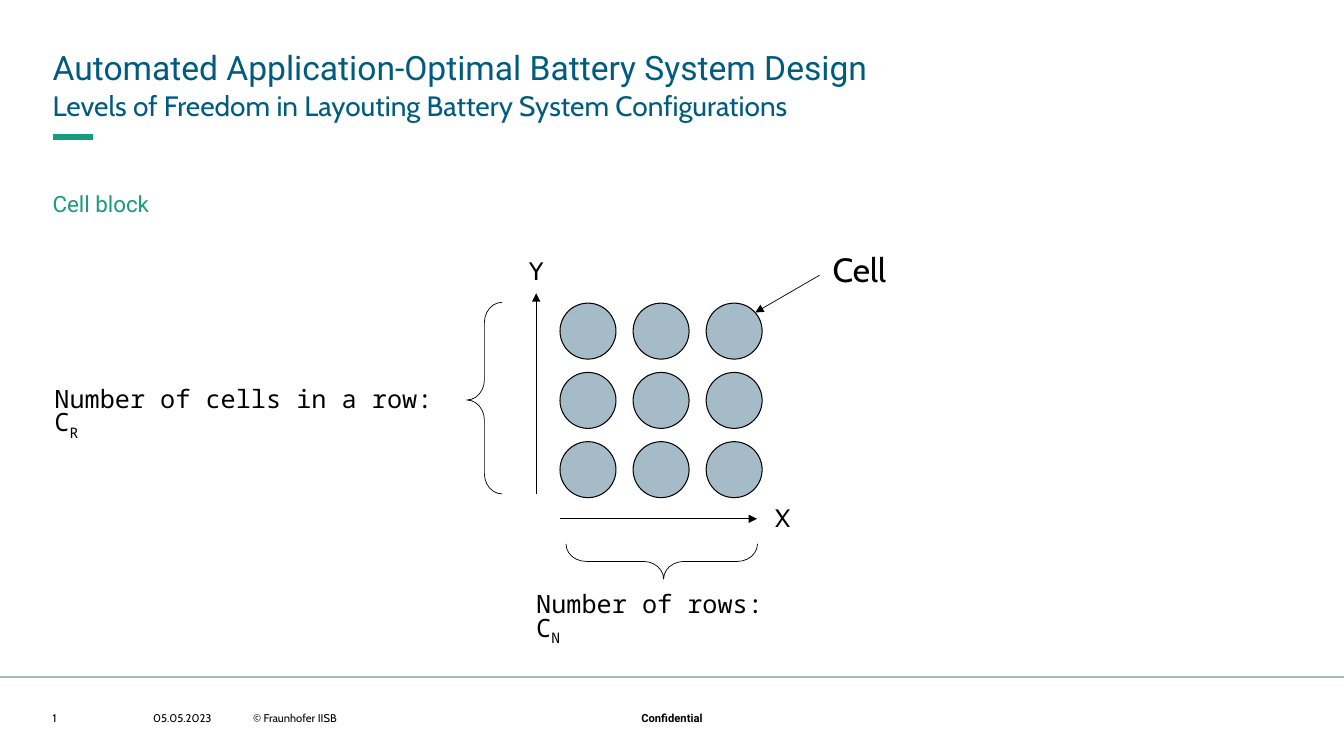
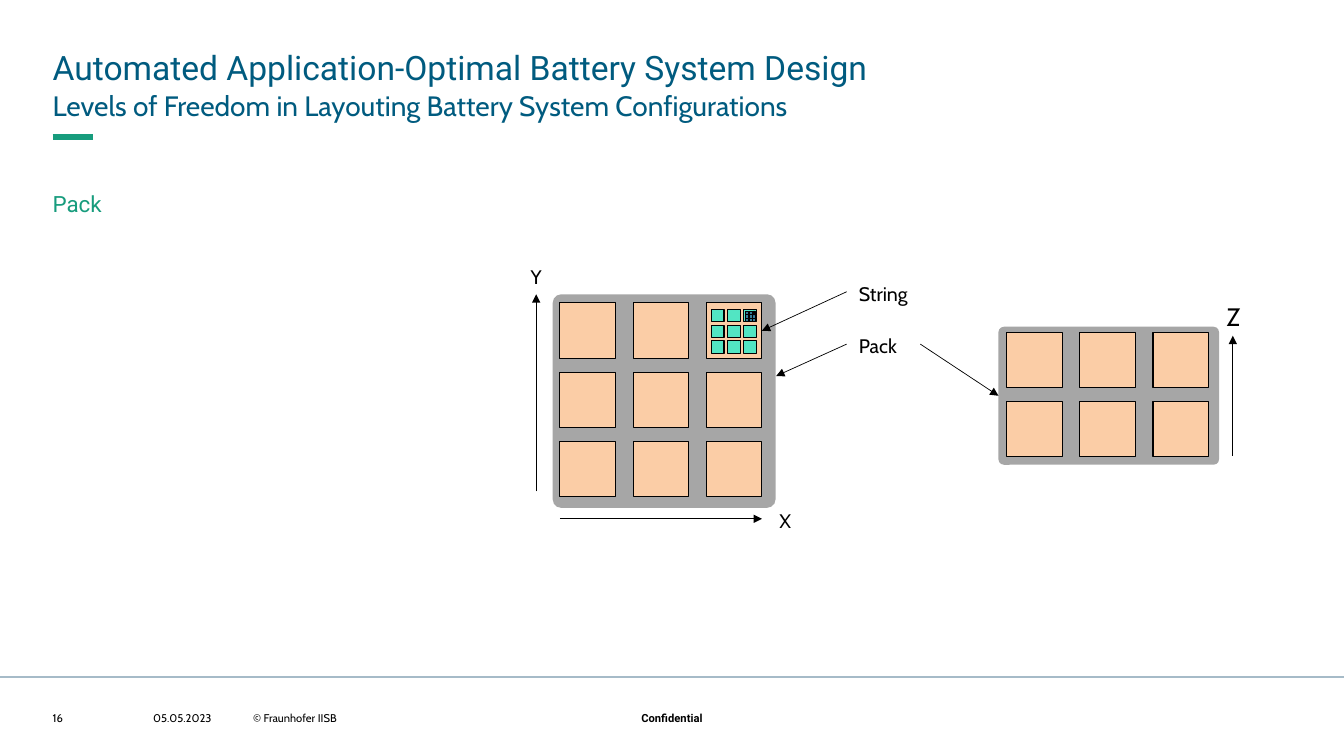
import pptx
import pptx.util
import pptx.dml.color
import pptx.enum.shapes
import pptx.enum.text
import pptx.oxml.ns
import lxml.etree

Pt = pptx.util.Pt
RGBColor = pptx.dml.color.RGBColor
SHAPE = pptx.enum.shapes.MSO_SHAPE
ALIGN = pptx.enum.text.PP_ALIGN
ANCHOR = pptx.enum.text.MSO_ANCHOR
qn = pptx.oxml.ns.qn

BLACK = RGBColor(0x00, 0x00, 0x00)
BLUE = RGBColor(0x00, 0x5B, 0x7F)
GREEN = RGBColor(0x17, 0x9C, 0x7D)
STEEL = RGBColor(0xA6, 0xBB, 0xC8)
GRAY = RGBColor(0xA6, 0xA6, 0xA6)
PEACH = RGBColor(0xFB, 0xCD, 0xA6)
MINT = RGBColor(0x52, 0xE5, 0xC3)
TEAL = RGBColor(0x33, 0x7C, 0x99)

LEFT, CONTENT_WIDTH = 37.6, 884
FOOTER_TOP, FOOTER_HEIGHT = 508.3, 9.4
LABEL_INSET = 8.64

STYLES = {
    "title": {"font": {"name": "Roboto", "size": Pt(24)}, "color": BLUE,
              "para": {"line_spacing": 1.1}},
    "subtitle": {"font": {"name": "Cabin", "size": Pt(20)}, "color": BLUE,
                 "para": {"line_spacing": 1.1}},
    "topic": {"font": {"name": "Roboto", "size": Pt(16)}, "color": GREEN,
              "para": {"line_spacing": 1.1}},
    "footer": {"font": {"name": "Cabin", "size": Pt(8)},
               "frame": {"vertical_anchor": ANCHOR.MIDDLE}},
    "mark": {"font": {"name": "Roboto", "size": Pt(8), "bold": True},
             "para": {"alignment": ALIGN.CENTER}},
    "caption": {"font": {"name": "Noto Sans Mono", "size": Pt(18)},
                "para": {"line_spacing": Pt(19.6)}},
    "axis": {"font": {"name": "Cabin", "size": Pt(18)},
             "para": {"line_spacing": Pt(19.6)}},
    "cell": {"font": {"name": "Cabin", "size": Pt(24)},
             "para": {"line_spacing": Pt(19.6)}},
    "label": {"font": {"name": "Cabin", "size": Pt(14)}, "inset": LABEL_INSET,
              "para": {"line_spacing": Pt(19.6)},
              "frame": {"vertical_anchor": ANCHOR.MIDDLE}},
    "axis label": {"font": {"name": "Cabin", "size": Pt(14)}, "inset": LABEL_INSET,
                   "para": {"line_spacing": Pt(19.6), "alignment": ALIGN.CENTER},
                   "frame": {"vertical_anchor": ANCHOR.MIDDLE}},
}

TITLE = "Automated Application-Optimal Battery System Design"
SUBTITLE = "Levels of Freedom in Layouting Battery System Configurations"
FRAME_TEXTS = [
    (TITLE, "title", (LEFT, 31, CONTENT_WIDTH, 30)),
    (SUBTITLE, "subtitle", (LEFT, 61.2, CONTENT_WIDTH, 25)),
    ("05.05.2023", "footer", (109.4, FOOTER_TOP, 57, FOOTER_HEIGHT)),
    ("© Fraunhofer IISB", "footer", (180.8, FOOTER_TOP, 232.6, FOOTER_HEIGHT)),
    ("Confidential", "mark", (423, FOOTER_TOP, 114, FOOTER_HEIGHT)),
]
FRAME_LINES = [
    ((LEFT, 97.9), (66.3, 97.9), GREEN, 4),
    ((0, 483.7), (960, 483.7), STEEL, 1.5),
]

BLOCK_TEXTS = [
    ("Number of cells in a row: C", "R", "caption", (38.9, 275.8, 275.8, 39)),
    ("Number of rows: C", "N", "caption", (383, 422.6, 179.3, 39)),
    ("Cell", "", "cell", (594.8, 187.2, 60, 22)),
    ("Y", "", "axis", (378, 184.3, 20, 20)),
    ("X", "", "axis", (553.7, 360.7, 31.7, 20)),
]
BLOCK_BRACES = [((333.4, 216, 25.2, 136.8), 0), ((460.1, 332.6, 25.2, 136.8), 270)]
BLOCK_ARROWS = [
    ((400, 370.6), (540.7, 370.6)),
    ((383, 352.8), (383, 209.5)),
    ((585.4, 196.6), (539.5, 223.2)),
]
CELL_GRID = (400, 216.5, 3, 3, 40, 52.2, 49.5)

PACK_LABELS = [
    ("String", "label", (604.8, 194.4, 84.2, 28)),
    ("Pack", "label", (604.8, 231.8, 52.6, 28)),
    ("Y", "axis label", (364.3, 182.2, 37.4, 28)),
    ("X", "axis label", (542.2, 356.4, 37.4, 28)),
    ("Z", "axis", (876.2, 217.4, 31.7, 20)),
]
PACK_ARROWS = [
    ((400, 370.6), (544.3, 370.6)),
    ((383, 351), (383, 210.2)),
    ((880.6, 325.6), (880.6, 239.8)),
]
TOP_PACK = (394.8, 210.2, 159.2, 152.6)
SIDE_PACK = (713.2, 233.4, 157.6, 98.6)
STRING_GRID = (400, 216.4, 3, 3, 39.8, 52.2, 49.4)
SIDE_GRID = (719, 237.2, 3, 2, 39.8, 52.3, 49.4)
NESTED_GRIDS = [
    (SHAPE.RECTANGLE, MINT, (508.2, 221, 3, 3, 9, 11.6, 11.2)),
    (SHAPE.RECTANGLE, TEAL, (532.6, 222.5, 3, 3, 2.2, 2.5, 2.5)),
    (SHAPE.FLOWCHART_CONNECTOR, STEEL, (537.8, 222.5, 2, 3, 0.7, 0.8, 0.8)),
]


def apply_values(target, values):
    for name, value in values.items():
        setattr(target, name, value)


def add_text(page, text, style_name, area, subscript=""):
    style = STYLES[style_name]
    box = page.shapes.add_textbox(*map(Pt, area))
    frame = box.text_frame
    inset = Pt(style.get("inset", 0))
    margins = {f"margin_{side}": inset for side in ("left", "top", "right", "bottom")}
    apply_values(frame, {"word_wrap": True, **margins, **style.get("frame", {})})
    para = frame.paragraphs[0]
    apply_values(para, style.get("para", {}))
    for part in filter(None, (text, subscript)):
        span = para.add_run()
        span.text = part
        apply_values(span.font, style["font"])
        span.font.color.rgb = style.get("color", BLACK)
    if subscript:
        span.font.subscript = True if hasattr(span.font, "subscript") else None
        span._r.get_or_add_rPr().set("baseline", "-25000")
    return box


def add_line(page, start, end, color=BLACK, width=0.5, arrow=False):
    line = page.shapes.add_connector(
        pptx.enum.shapes.MSO_CONNECTOR.STRAIGHT, *map(Pt, (*start, *end)))
    line.line.color.rgb = color
    line.line.width = Pt(width)
    if arrow:
        outline = line.line._get_or_add_ln()
        lxml.etree.SubElement(outline, qn("a:tailEnd"), type="triangle")
    lxml.etree.SubElement(line._element.spPr, qn("a:effectLst"))
    return line


def add_figure(page, kind, area, fill=None, width=0.75, adjustments=()):
    figure = page.shapes.add_shape(kind, *map(Pt, area))
    figure.shadow.inherit = False
    for index, value in enumerate(adjustments):
        figure.adjustments[index] = value
    if fill is None:
        figure.fill.background()
    else:
        figure.fill.solid()
        figure.fill.fore_color.rgb = fill
    if width:
        figure.line.color.rgb = BLACK
        figure.line.width = Pt(width)
    else:
        figure.line.fill.background()
    return figure


def add_grid(page, kind, fill, grid):
    left, top, columns, rows, size, step_x, step_y = grid
    return [[add_figure(page, kind,
                        (left + column * step_x, top + row * step_y, size, size), fill)
             for column in range(columns)] for row in range(rows)]


def add_page(deck, number, topic):
    page = deck.slides.add_slide(deck.slide_layouts[6])
    for start, end, color, width in FRAME_LINES:
        add_line(page, start, end, color, width)
    for text, style, area in FRAME_TEXTS:
        add_text(page, text, style, area)
    add_text(page, number, "footer", (LEFT, FOOTER_TOP, 57, FOOTER_HEIGHT))
    add_text(page, topic, "topic", (LEFT, 133.9, CONTENT_WIDTH, 20))
    return page


def build_cell_block(deck):
    page = add_page(deck, "1", "Cell block")
    for area, rotation in BLOCK_BRACES:
        brace = add_figure(page, SHAPE.LEFT_BRACE, area, width=0.5,
                           adjustments=(0.57, 0.51))
        brace.rotation = rotation
    add_grid(page, SHAPE.FLOWCHART_CONNECTOR, STEEL, CELL_GRID)
    for text, subscript, style, area in BLOCK_TEXTS:
        add_text(page, text, style, area, subscript)
    for start, end in BLOCK_ARROWS:
        add_line(page, start, end, arrow=True)


def build_pack(deck):
    page = add_page(deck, "16", "Pack")
    top_pack, side_pack = [
        add_figure(page, SHAPE.ROUNDED_RECTANGLE, area, GRAY, 0, (0.04,))
        for area in (TOP_PACK, SIDE_PACK)]
    strings = add_grid(page, SHAPE.RECTANGLE, PEACH, STRING_GRID)
    add_grid(page, SHAPE.RECTANGLE, PEACH, SIDE_GRID)
    for kind, fill, grid in NESTED_GRIDS:
        add_grid(page, kind, fill, grid)
    labels = {text: add_text(page, text, style, area)
              for text, style, area in PACK_LABELS}
    for start, end in PACK_ARROWS:
        add_line(page, start, end, arrow=True)

    string_arrow = add_line(page, (604.8, 208.4), (544.2, 236.3), arrow=True)
    string_arrow.begin_connect(labels["String"], 1)
    string_arrow.end_connect(strings[0][-1], 3)
    top_arrow = add_line(page, (604.8, 245.8), (554.4, 268.6), arrow=True)
    top_arrow.begin_connect(labels["Pack"], 1)
    side_arrow = add_line(page, (657.4, 245.8), (713.2, 282.7), arrow=True)
    side_arrow.begin_connect(labels["Pack"], 3)
    side_arrow.end_connect(side_pack, 1)


def main():
    deck = pptx.Presentation()
    deck.slide_width, deck.slide_height = Pt(960), Pt(540)
    build_cell_block(deck)
    build_pack(deck)
    deck.save("out.pptx")


if __name__ == "__main__":
    main()
